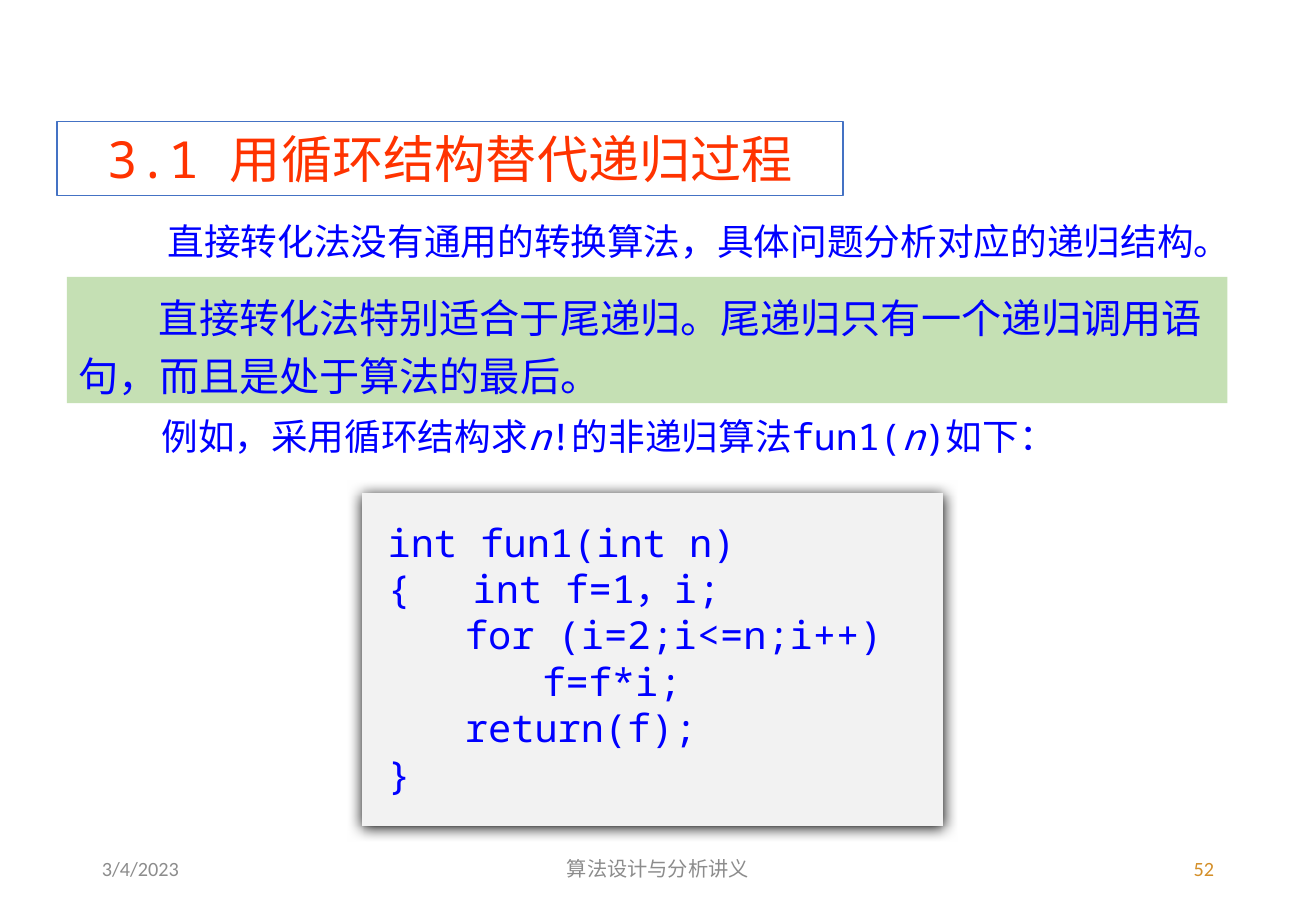
from dataclasses import dataclass

from lxml.etree import SubElement
from pptx import Presentation
from pptx.dml.color import RGBColor
from pptx.enum.shapes import MSO_SHAPE
from pptx.enum.text import MSO_ANCHOR, MSO_AUTO_SIZE, PP_ALIGN
from pptx.oxml.ns import qn
from pptx.util import Inches, Pt


@dataclass(frozen=True)
class Theme:
    mono: str = "Noto Sans Mono"
    sans: str = "Noto Sans CJK SC"
    footer_font: str = "Calibri"
    title_color: str = "FF3300"
    body_color: str = "0000FF"
    footer_color: str = "8C8C8C"
    number_color: str = "D48F29"
    white: str = "FFFFFF"
    title_border: str = "4472C4"
    highlight: str = "C5E0B4"
    code_fill: str = "F2F2F2"
    shadow: str = "000000"
    title_size: float = 30.3
    body_size: float = 21.7
    highlight_size: float = 23.8
    code_size: float = 22.9
    footer_size: float = 12


THEME = Theme()

CODE = """int fun1(int n)
{　 int f=1，i;
　　for (i=2;i<=n;i++)
　　　　f=f*i;
　　return(f);
}"""


def apply_format(target, **values):
    for name, value in values.items():
        setattr(target, name, value)


def add_panel(slide, box, fill, border=None):
    panel = slide.shapes.add_shape(MSO_SHAPE.RECTANGLE, *map(Inches, box))
    panel.shadow.inherit = False
    panel.fill.solid()
    panel.fill.fore_color.rgb = RGBColor.from_string(fill)
    if border:
        panel.line.color.rgb = RGBColor.from_string(border)
        panel.line.width = Pt(1)
    else:
        panel.line.fill.background()
    return panel


def write(holder, lines, font, size, color, frame=None, indent=0, **paragraph_format):
    """Fill a shape with lines, each a list of (text, italic) runs."""
    text_frame = holder.text_frame
    apply_format(text_frame, **{
        "word_wrap": True,
        "auto_size": MSO_AUTO_SIZE.SHAPE_TO_FIT_TEXT,
        "vertical_anchor": MSO_ANCHOR.TOP,
        **(frame or {}),
    })
    for index, pieces in enumerate(lines):
        paragraph = text_frame.add_paragraph() if index else text_frame.paragraphs[0]
        apply_format(paragraph, **{"alignment": PP_ALIGN.LEFT, **paragraph_format})
        if indent:
            paragraph._p.get_or_add_pPr().set("indent", str(Inches(indent)))
        for text, italic in pieces:
            run = paragraph.add_run()
            run.text = text
            apply_format(run.font, name=font, size=Pt(size), italic=italic)
            run.font.color.rgb = RGBColor.from_string(color)
            SubElement(run._r.get_or_add_rPr(), qn("a:ea"), typeface=font)


def add_title(slide, box):
    title = add_panel(slide, box, THEME.white, THEME.title_border)
    write(title, [[("3.1 用循环结构替代递归过程", False)]], THEME.mono,
          THEME.title_size, THEME.title_color, alignment=PP_ALIGN.CENTER)


def add_intro(slide, box):
    intro = slide.shapes.add_textbox(*map(Inches, box))
    write(intro, [[("直接转化法没有通用的转换算法，具体问题分析对应的递归结构。", False)]],
          THEME.sans, THEME.body_size, THEME.body_color, indent=0.6, line_spacing=1.5)


def add_highlight(slide, box):
    highlight = add_panel(slide, box, THEME.highlight)
    sentence = "直接转化法特别适合于尾递归。尾递归只有一个递归调用语句，而且是处于算法的最后。"
    write(highlight, [[(sentence, False)]], THEME.mono, THEME.highlight_size,
          THEME.body_color, indent=0.66, line_spacing=Pt(34.7))


def add_example(slide, box):
    example = slide.shapes.add_textbox(*map(Inches, box))
    pieces = [("例如，采用循环结构求", False), ("n", True), ("!的非递归算法fun1(", False),
              ("n", True), (")如下：", False)]
    write(example, [pieces], THEME.mono, THEME.body_size, THEME.body_color)


def add_code(slide, box):
    code = add_panel(slide, box, THEME.code_fill)
    # Soft shadow just below the panel
    effects = code._element.spPr.find(qn("a:effectLst"))
    shadow = SubElement(effects, qn("a:outerShdw"), blurRad=str(Pt(8.5)),
                        dist=str(Pt(1)), dir="5400000", algn="t", rotWithShape="0")
    SubElement(shadow, qn("a:srgbClr"), val=THEME.shadow)
    margin = Inches(0.21)
    write(code, [[(line, False)] for line in CODE.splitlines()], THEME.mono,
          THEME.code_size, THEME.body_color,
          frame={"margin_left": margin, "margin_top": margin, "margin_bottom": margin})


def add_footer(slide, box):
    left, top, width, height = box
    side, middle = 2.44, 3.66
    fields = [
        ("3/4/2023", left, side, PP_ALIGN.LEFT, THEME.footer_color),
        ("算法设计与分析讲义", left + (width - middle) / 2, middle, PP_ALIGN.CENTER,
         THEME.footer_color),
        ("52", left + width - side, side, PP_ALIGN.RIGHT, THEME.number_color),
    ]
    for text, field_left, field_width, alignment, color in fields:
        field = slide.shapes.add_textbox(*map(Inches, (field_left, top, field_width, height)))
        write(field, [[(text, False)]], THEME.footer_font, THEME.footer_size, color,
              frame={"auto_size": MSO_AUTO_SIZE.NONE, "vertical_anchor": MSO_ANCHOR.MIDDLE},
              alignment=alignment)


def main():
    deck = Presentation()
    apply_format(deck, slide_width=Inches(10.83), slide_height=Inches(7.5))
    slide = deck.slides.add_slide(deck.slide_layouts[6])
    add_title(slide, (0.47, 1, 6.47, 0.61))
    add_intro(slide, (0.68, 1.57, 9.38, 0.56))
    add_example(slide, (1.23, 3.36, 9.04, 0.47))
    add_code(slide, (2.98, 4.06, 4.78, 2.74))
    add_highlight(slide, (0.55, 2.28, 9.55, 1.04))
    add_footer(slide, (0.74, 6.95, 9.35, 0.4))
    deck.save("out.pptx")


if __name__ == "__main__":
    main()
